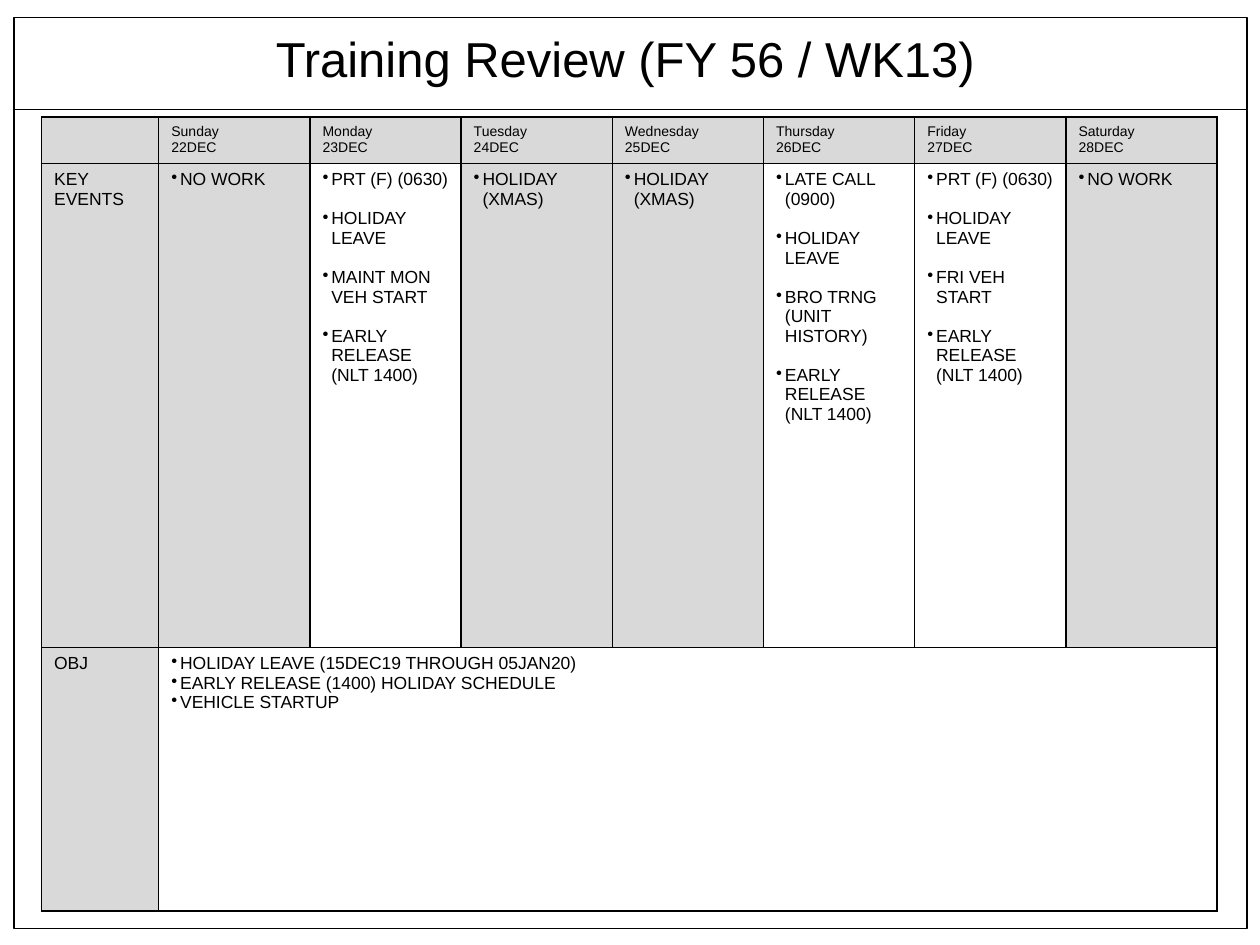
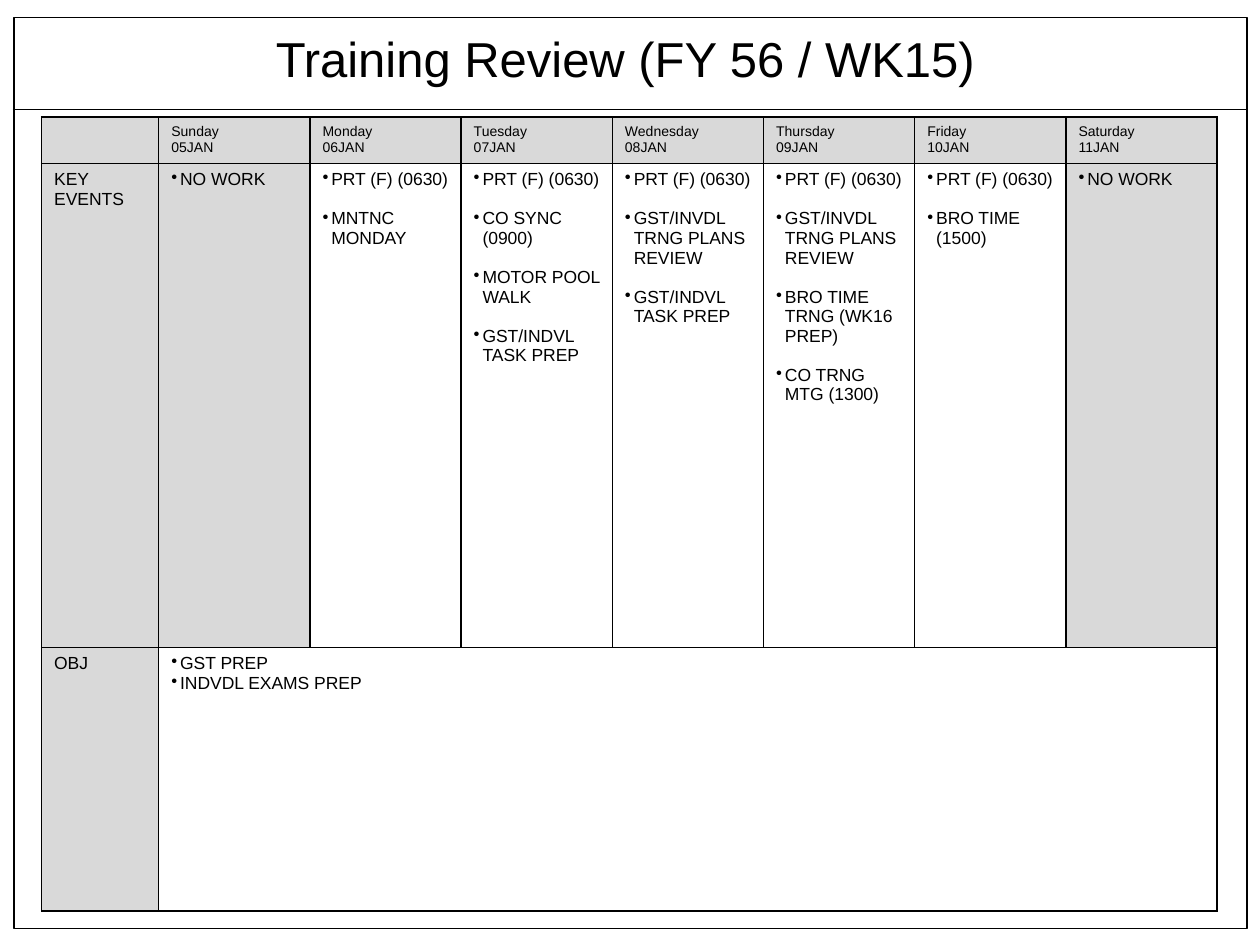
import pptx
import pptx.dml.color
import pptx.enum.shapes
import pptx.enum.text
import pptx.oxml
import pptx.oxml.ns
import pptx.util
from lxml import etree

Inches = pptx.util.Inches
Pt = pptx.util.Pt

BLACK = pptx.dml.color.RGBColor(0x00, 0x00, 0x00)
GREY = pptx.dml.color.RGBColor(0xD9, 0xD9, 0xD9)
WHITE = pptx.dml.color.RGBColor(0xFF, 0xFF, 0xFF)
FONT = "Arial"
LABEL_WIDTH, DAY_WIDTH = 0.93, 1.2
ROW_HEIGHTS = [0.37, 3.84, 2.09]
DAYS = ["Sunday", "Monday", "Tuesday", "Wednesday", "Thursday", "Friday", "Saturday"]
DAYS_OFF = (["NO WORK"], ["HOLIDAY (XMAS)"])

WEEKS = [
    {
        "title": "Training Review (FY 56 / WK13)",
        "dates": ["22DEC", "23DEC", "24DEC", "25DEC", "26DEC", "27DEC", "28DEC"],
        "events": [
            ["NO WORK"],
            ["PRT (F) (0630)", "HOLIDAY LEAVE", "MAINT MON VEH START", "EARLY RELEASE (NLT 1400)"],
            ["HOLIDAY (XMAS)"],
            ["HOLIDAY (XMAS)"],
            ["LATE CALL (0900)", "HOLIDAY LEAVE", "BRO TRNG (UNIT HISTORY)", "EARLY RELEASE (NLT 1400)"],
            ["PRT (F) (0630)", "HOLIDAY LEAVE", "FRI VEH START", "EARLY RELEASE (NLT 1400)"],
            ["NO WORK"],
        ],
        "objectives": [
            "HOLIDAY LEAVE (15DEC19 THROUGH 05JAN20)",
            "EARLY RELEASE (1400) HOLIDAY SCHEDULE",
            "VEHICLE STARTUP",
        ],
    },
    {
        "title": "Training Review (FY 56 / WK15)",
        "dates": ["05JAN", "06JAN", "07JAN", "08JAN", "09JAN", "10JAN", "11JAN"],
        "events": [
            ["NO WORK"],
            ["PRT (F) (0630)", "MNTNC MONDAY"],
            ["PRT (F) (0630)", "CO SYNC (0900)", "MOTOR POOL WALK", "GST/INDVL TASK PREP"],
            ["PRT (F) (0630)", "GST/INVDL TRNG PLANS REVIEW", "GST/INDVL TASK PREP"],
            ["PRT (F) (0630)", "GST/INVDL TRNG PLANS REVIEW", "BRO TIME TRNG (WK16 PREP)",
             "CO TRNG MTG (1300)"],
            ["PRT (F) (0630)", "BRO TIME (1500)"],
            ["NO WORK"],
        ],
        "objectives": ["GST PREP", "INDVDL EXAMS PREP"],
    },
]


def write_text(text_frame, lines, size=10, bullet=False, gap=0):
    """Write one paragraph per line, with gap points between paragraphs."""
    for number, line in enumerate(lines):
        paragraph = text_frame.paragraphs[0] if number == 0 else text_frame.add_paragraph()
        if number and gap:
            paragraph.space_before = Pt(gap)
        if bullet:
            properties = paragraph._p.get_or_add_pPr()
            properties.set("marL", str(Inches(0.07)))
            properties.set("indent", str(-Inches(0.07)))
            etree.SubElement(properties, pptx.oxml.ns.qn("a:buChar")).set("char", "•")
        if not line:
            end = etree.SubElement(paragraph._p, pptx.oxml.ns.qn("a:endParaRPr"))
            end.set("sz", str(size * 100))
            continue
        run = paragraph.add_run()
        run.text = line
        run.font.name = FONT
        run.font.size = Pt(size)
        run.font.color.rgb = BLACK


def format_cell(cell, color):
    """Give the cell black 1 pt borders and a solid fill."""
    properties = cell._tc.get_or_add_tcPr()
    for side in ("lnL", "lnR", "lnT", "lnB"):
        properties.append(pptx.oxml.parse_xml(
            f'<a:{side} {pptx.oxml.ns.nsdecls("a")} w="{Pt(1)}"><a:solidFill>'
            f'<a:srgbClr val="{BLACK}"/></a:solidFill></a:{side}>'))
    cell.fill.solid()
    cell.fill.fore_color.rgb = color


presentation = pptx.Presentation()
presentation.slide_width = Inches(10)
presentation.slide_height = Inches(7.5)

for week in WEEKS:
    slide = presentation.slides.add_slide(presentation.slide_layouts[6])

    frame = slide.shapes.add_shape(
        pptx.enum.shapes.MSO_SHAPE.RECTANGLE, Inches(0.11), Inches(0.14), Inches(9.79), Inches(7.23))
    frame.shadow.inherit = False
    frame.fill.background()
    title_rule = slide.shapes.add_connector(
        pptx.enum.shapes.MSO_CONNECTOR.STRAIGHT, Inches(0.1), Inches(0.87), Inches(9.89), Inches(0.87))
    etree.SubElement(title_rule._element.spPr, pptx.oxml.ns.qn("a:effectLst"))
    for outlined in (frame, title_rule):
        outlined.line.color.rgb = BLACK
        outlined.line.width = Pt(1)

    title = slide.shapes.add_textbox(Inches(2.09), Inches(0.18), Inches(5.82), Inches(0.57))
    title.text_frame.word_wrap = False
    title.text_frame.auto_size = pptx.enum.text.MSO_AUTO_SIZE.SHAPE_TO_FIT_TEXT
    write_text(title.text_frame, [week["title"]], size=28)

    table = slide.shapes.add_table(
        3, 8, Inches(0.33), Inches(0.93),
        Inches(LABEL_WIDTH + 7 * DAY_WIDTH), Inches(sum(ROW_HEIGHTS))).table
    table.first_row = False
    table.horz_banding = False
    for row, height in zip(table.rows, ROW_HEIGHTS):
        row.height = Inches(height)
    for number, column in enumerate(table.columns):
        column.width = Inches(DAY_WIDTH if number else LABEL_WIDTH)

    for row_number, label in enumerate(["", "KEY EVENTS", "OBJ"]):
        label_cell = table.cell(row_number, 0)
        format_cell(label_cell, GREY)
        write_text(label_cell.text_frame, [label], size=10 if label else 8)

    for column_number, (day, date, events) in enumerate(zip(DAYS, week["dates"], week["events"]), 1):
        day_cell = table.cell(0, column_number)
        format_cell(day_cell, GREY)
        write_text(day_cell.text_frame, [day, date], size=8)
        events_cell = table.cell(1, column_number)
        format_cell(events_cell, GREY if events in DAYS_OFF else WHITE)
        write_text(events_cell.text_frame, events, bullet=True, gap=11.2)
        format_cell(table.cell(2, column_number), WHITE)

    objectives_cell = table.cell(2, 1)
    objectives_cell.merge(table.cell(2, 7))
    write_text(objectives_cell.text_frame, week["objectives"], bullet=True)

presentation.save("out.pptx")
